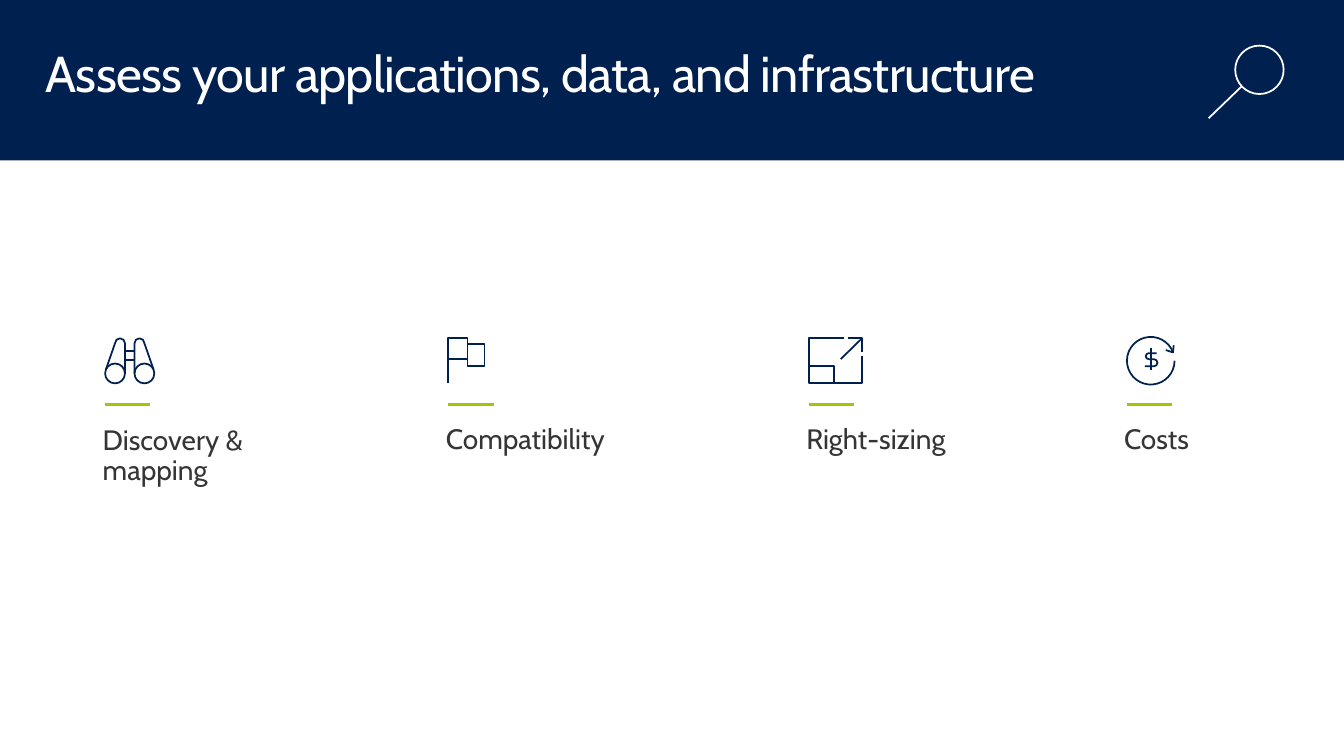
import math
import pptx
import pptx.dml.color
import pptx.enum.shapes
import pptx.enum.text
import pptx.oxml
import pptx.oxml.ns
import pptx.util

Cm = pptx.util.Cm
NAVY, LIME, WHITE, GREY, PALE = "002050", "A7C209", "FFFFFF", "353535", "F2F2F2"
PAGE_WIDTH, PAGE_HEIGHT = 33.87, 19.05


def color(value):
    """Turn a hex string into a colour."""
    return pptx.dml.color.RGBColor.from_string(value)


def arc(x, y, radius, start, end):
    """Return a start point and Bezier curves, with angles in degrees, clockwise from the right."""
    count = math.ceil(abs(end - start) / 90)
    step = math.radians(end - start) / count
    pull = 4 / 3 * math.tan(step / 4)
    steps = [(x + radius * math.cos(math.radians(start)), y + radius * math.sin(math.radians(start)))]
    for i in range(count):
        first = math.radians(start) + i * step
        last = first + step
        corners = [(math.cos(first) - pull * math.sin(first), math.sin(first) + pull * math.cos(first)),
                   (math.cos(last) + pull * math.sin(last), math.sin(last) - pull * math.cos(last)),
                   (math.cos(last), math.sin(last))]
        steps.append([(x + radius * u, y + radius * v) for u, v in corners])
    return steps


def binoculars():
    """Return the strokes of the binoculars icon."""
    strokes = []
    for middle, outer, edge, turn in ((0.25, 0.02, 0.375, (180, 360)), (0.99, 1.22, 0.865, (0, -180))):
        inner = 0.5 if middle < 0.5 else 0.74
        strokes += [arc(middle, 0.89, 0.25, 0, 360),
                    [(outer, 0.79), *arc(edge, 0.13, 0.125, *turn), (inner, 0.89)]]
    return strokes + [[(0.5, y), (0.74, y)] for y in (0.33, 0.56)]


def flag():
    """Return the strokes of the flag icon."""
    return [[(0, 1.14), (0, 0), (0.48, 0), (0.48, 0.71), (0.91, 0.71), (0.91, 0.15), (0.48, 0.15)],
            [(0, 0.53), (0.48, 0.53)]]


def resize():
    """Return the strokes of the resize icon."""
    return [[(0.99, 0), (1.35, 0), (1.35, 0.36)],
            [(1.35, 0), (0.81, 0.53)],
            [(0.89, 0), (0, 0), (0, 1.14), (1.35, 1.14), (1.35, 0.46)],
            [(0.64, 1.14), (0.64, 0.71), (0, 0.71)]]


def coin():
    """Return the strokes of the dollar icon with its circling arrow."""
    return [arc(0.61, 0.57, 0.6, 0, 340),
            [(0.99, 0.3), (1.17, 0.36), (1.19, 0.18)],
            [(0.46, 0.71), *arc(0.69, 0.62, 0.09, 90, -90), *arc(0.56, 0.455, 0.075, 90, 270), (0.76, 0.38)],
            [(0.61, 0.25), (0.61, 0.81)]]


def magnifier():
    """Return the strokes of the magnifying glass."""
    return [arc(1.28, 0.61, 0.61, 0, 360), [(0, 1.83), (0.84, 1.02)]]


def add_icon(page, left, top, strokes, line):
    """Draw all strokes of an icon as one outline with true curves."""
    def place(point):
        return Cm(left + point[0]), Cm(top + point[1])

    builder = page.shapes.build_freeform(*place(strokes[0][0]), scale=1.0)
    sizes = []
    for number, (start, *steps) in enumerate(strokes):
        if number:
            builder.move_to(*place(start))
        groups = [step if isinstance(step, list) else [step] for step in steps]
        sizes += [len(group) for group in groups]
        builder.add_line_segments([place(point) for group in groups for point in group], close=False)
    icon = builder.convert_to_shape()
    segments = iter(list(icon._element.iter(pptx.oxml.ns.qn("a:lnTo"))))
    for size in sizes:
        head, *rest = [next(segments) for _ in range(size)]
        if rest:
            head.tag = pptx.oxml.ns.qn("a:cubicBezTo")
            for segment in rest:
                head.append(segment[0])
                segment.getparent().remove(segment)
    icon.shadow.inherit = False
    icon.fill.background()
    icon.line.color.rgb = color(line)
    icon.line.width = pptx.util.Pt(1.25)


def add_panel(page, top, height, fill):
    """Add a plain band across the page."""
    panel = page.shapes.add_shape(pptx.enum.shapes.MSO_SHAPE.RECTANGLE,
                                  0, Cm(top), Cm(PAGE_WIDTH), Cm(height))
    panel.shadow.inherit = False
    panel.fill.solid()
    panel.fill.fore_color.rgb = color(fill)
    panel.line.fill.background()


def add_text(page, area, insets, text, size, ink):
    """Add one paragraph of text and return its paragraph and run."""
    box = page.shapes.add_textbox(*map(Cm, area))
    frame = box.text_frame
    frame.word_wrap = True
    frame.vertical_anchor = pptx.enum.text.MSO_ANCHOR.TOP
    frame.margin_left, frame.margin_top, frame.margin_right, frame.margin_bottom = map(Cm, insets)
    para = frame.paragraphs[0]
    para.line_spacing = 0.9
    span = para.add_run()
    span.text = text
    span.font.name = "Cabin"
    span.font.size = pptx.util.Pt(size)
    span.font.color.rgb = color(ink)
    return para, span


def add_header(page):
    """Build the title and magnifying glass in the navy band."""
    _, span = add_text(page, (0.74, 0.99, 32.39, 2.49), (0.41, 0.25, 0.41, 0.25),
                       "Assess your applications, data, and infrastructure", 36, WHITE)
    span._r.get_or_add_rPr().set("spc", "-50")
    add_icon(page, 30.46, 1.15, magnifier(), WHITE)


def add_topic(page, left, top, width, height, label, strokes):
    """Build one topic: icon, green rule and label."""
    edge = left + 0.06
    add_icon(page, edge, top, strokes, NAVY)
    rule = page.shapes.add_connector(pptx.enum.shapes.MSO_CONNECTOR.STRAIGHT,
                                     Cm(edge + 1.14), Cm(top + 1.67), Cm(edge), Cm(top + 1.67))
    rule.line.color.rgb = color(LIME)
    rule.line.width = pptx.util.Pt(2)
    rule._element.spPr.append(pptx.oxml.parse_xml(
        f"<a:effectLst {pptx.oxml.ns.nsdecls('a')}/>"))
    para, _ = add_text(page, (left, top + 1.81, width, height), (0, 0.41, 0.51, 0.41),
                       label, 20, GREY)
    para.space_after = pptx.util.Pt(6)


def main():
    """Build and save the deck."""
    deck = pptx.Presentation()
    deck.slide_width, deck.slide_height = Cm(PAGE_WIDTH), Cm(PAGE_HEIGHT)
    page = deck.slides.add_slide(deck.slide_layouts[6])
    page.background.fill.solid()
    page.background.fill.fore_color.rgb = color(PALE)
    add_panel(page, 0, 4.06, NAVY)
    add_panel(page, 4.04, PAGE_HEIGHT - 4.04, WHITE)
    add_header(page)
    topics = [(2.59, 5.26, 2.36, "Discovery & mapping", binoculars()),
              (11.24, 9.3, 1.6, "Compatibility", flag()),
              (20.32, 6.48, 1.6, "Right-sizing", resize()),
              (28.33, 4.8, 1.6, "Costs", coin())]
    for left, width, height, label, strokes in topics:
        add_topic(page, left, 8.52, width, height, label, strokes)
    deck.save("out.pptx")


if __name__ == "__main__":
    main()
